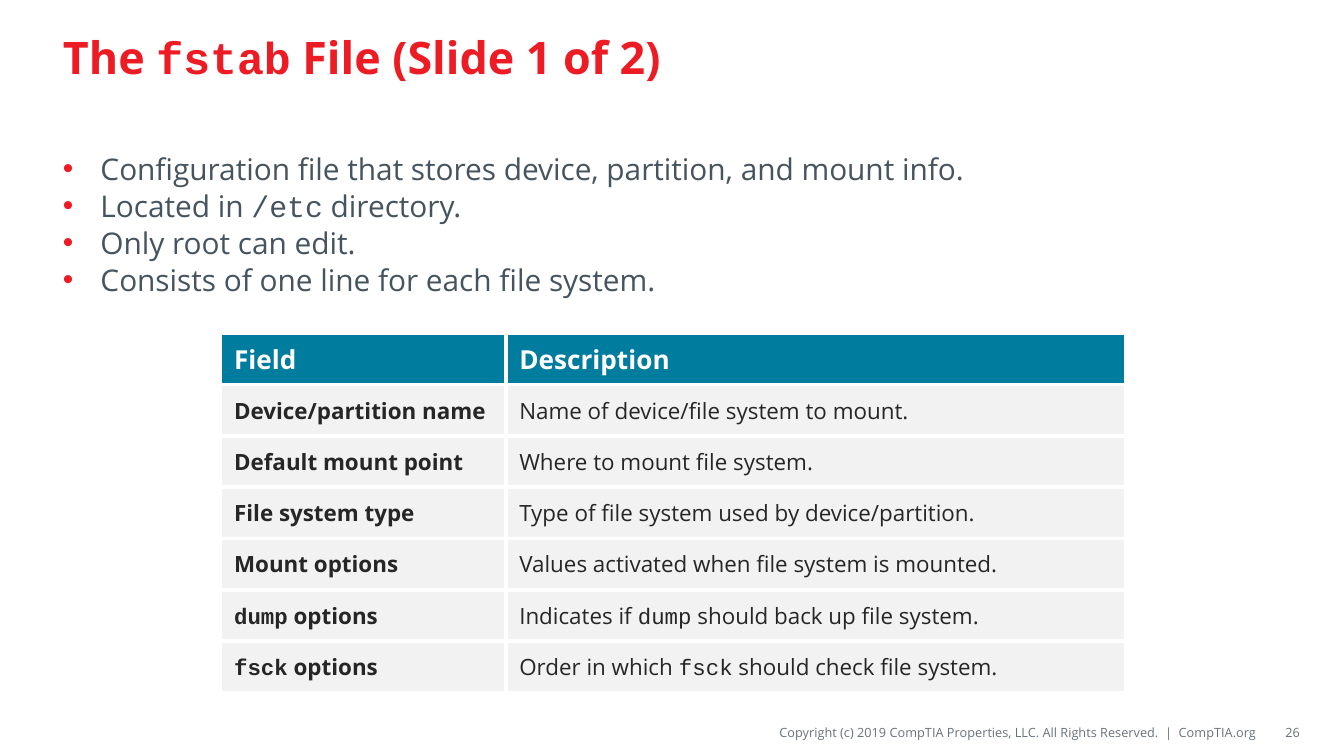
from lxml.etree import SubElement as Sub
from pptx import Presentation
from pptx.dml.color import RGBColor as RGB
from pptx.enum.text import MSO_ANCHOR as Anchor, PP_ALIGN as Align
from pptx.oxml.ns import qn
from pptx.util import Cm, Pt

HUES = {
    "red": "ED1C24",
    "slate": "45545F",
    "gray": "69727B",
    "teal": "007C9E",
    "pale": "F2F2F2",
    "ink": "262626",
    "white": "FFFFFF",
}


def write(par, text, size, hue, bold=False):
    for i, part in enumerate(text.split("`")):
        if part:
            run = par.add_run()
            run.text = part
            font = run.font
            font.name = "Courier New" if i % 2 else "Open Sans"
            font.size = Pt(size)
            font.bold = bold
            font.color.rgb = RGB.from_string(HUES[hue])


def add_box(left, top, width, height, anchor=Anchor.MIDDLE):
    box = slide.shapes.add_textbox(Cm(left), Cm(top), Cm(width), Cm(height))
    frame = box.text_frame
    frame.word_wrap = True
    frame.vertical_anchor = anchor
    return frame


deck = Presentation()
deck.slide_width, deck.slide_height = Cm(25.4), Cm(14.29)
slide = deck.slides.add_slide(deck.slide_layouts[6])

title = add_box(0.94, 0.2, 23.5, 1.75)
write(title.paragraphs[0], "The `fstab` File (Slide 1 of 2)", 24, "red", True)

points = [
    "Configuration file that stores device, partition, and mount info.",
    "Located in `/etc` directory.",
    "Only root can edit.",
    "Consists of one line for each file system.",
]
body = add_box(0.94, 2.72, 23.5, 9.9, Anchor.TOP)
for i, point in enumerate(points):
    par = body.add_paragraph() if i else body.paragraphs[0]
    props = par._p.get_or_add_pPr()
    props.set("marL", str(Cm(0.71)))
    props.set("indent", str(Cm(-0.71)))
    tint = Sub(props, qn("a:buClr"))
    Sub(tint, qn("a:srgbClr"), val=HUES["red"])
    Sub(props, qn("a:buFont"), typeface="Arial")
    Sub(props, qn("a:buChar"), char="•")
    if i:
        par.space_before = Pt(0.7)
    write(par, point, 16, "slate")

rows = [
    ("Field", "Description"),
    ("Device/partition name", "Name of device/file system to mount."),
    ("Default mount point", "Where to mount file system."),
    ("File system type", "Type of file system used by device/partition."),
    ("Mount options", "Values activated when file system is mounted."),
    ("`dump` options", "Indicates if `dump` should back up file system."),
    ("`fsck` options", "Order in which `fsck` should check file system."),
]
grid = slide.shapes.add_table(
    len(rows), 2, Cm(4.17), Cm(6.3), Cm(17.1), Cm(6.79)
).table
for col, width in zip(grid.columns, (5.39, 11.71)):
    col.width = Cm(width)
for r, row in enumerate(rows):
    grid.rows[r].height = Cm(0.97)
    for c, text in enumerate(row):
        cell = grid.cell(r, c)
        cell.vertical_anchor = Anchor.MIDDLE
        props = cell._tc.get_or_add_tcPr()
        for side in ("lnL", "lnR", "lnT", "lnB"):
            edge = Sub(props, qn(f"a:{side}"), w=str(Pt(2.25)))
            Sub(Sub(edge, qn("a:solidFill")), qn("a:srgbClr"), val=HUES["white"])
        cell.fill.solid()
        cell.fill.fore_color.rgb = RGB.from_string(HUES["pale" if r else "teal"])
        size, hue = (12, "ink") if r else (14, "white")
        write(cell.text_frame.paragraphs[0], text, size, hue, r == 0 or c == 0)

notice = "Copyright (c) 2019 CompTIA Properties, LLC. All Rights Reserved.\u00a0 |\u00a0 CompTIA.org"
for left, width, text in ((9.86, 13.89, notice), (23.83, 0.74, "26")):
    foot = add_box(left, 13.56, width, 0.56)
    foot.margin_left = foot.margin_right = 0
    foot.margin_top = foot.margin_bottom = Cm(0.1)
    foot.paragraphs[0].alignment = Align.RIGHT
    write(foot.paragraphs[0], text, 6.8, "gray")

deck.save("out.pptx")
